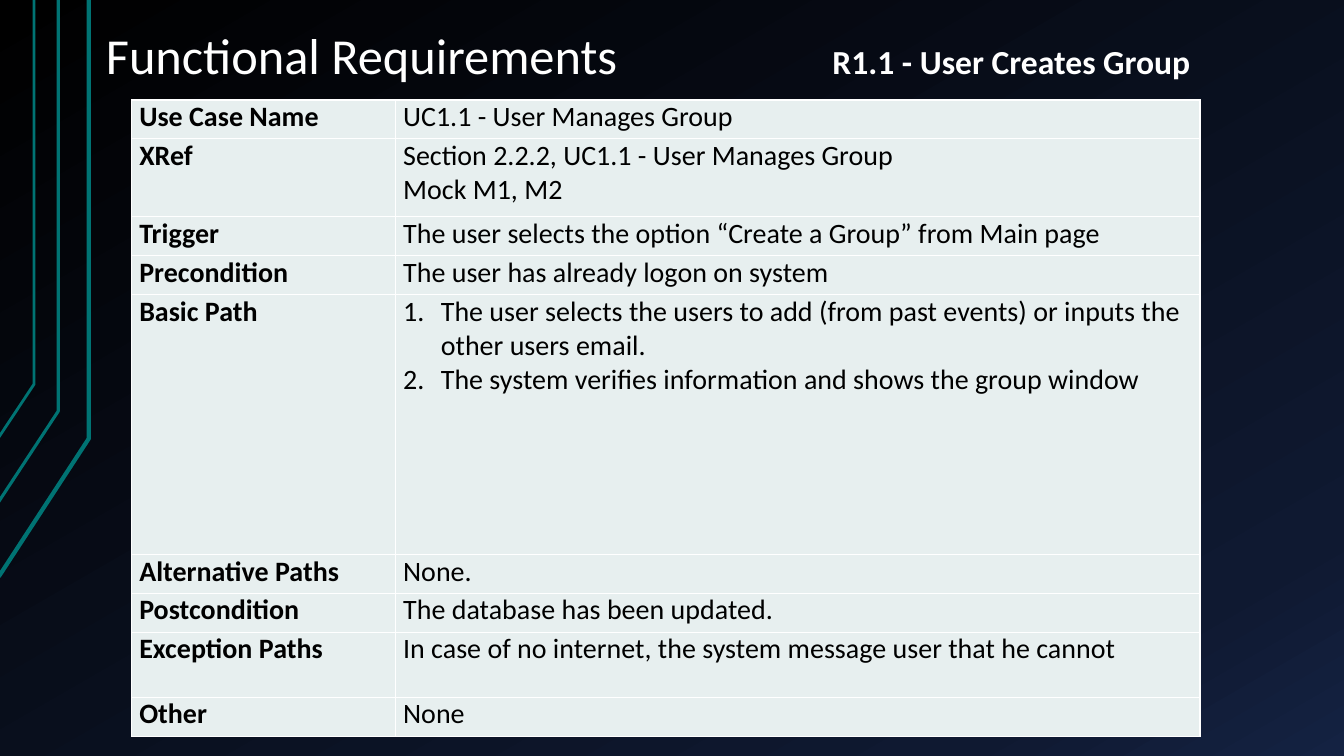
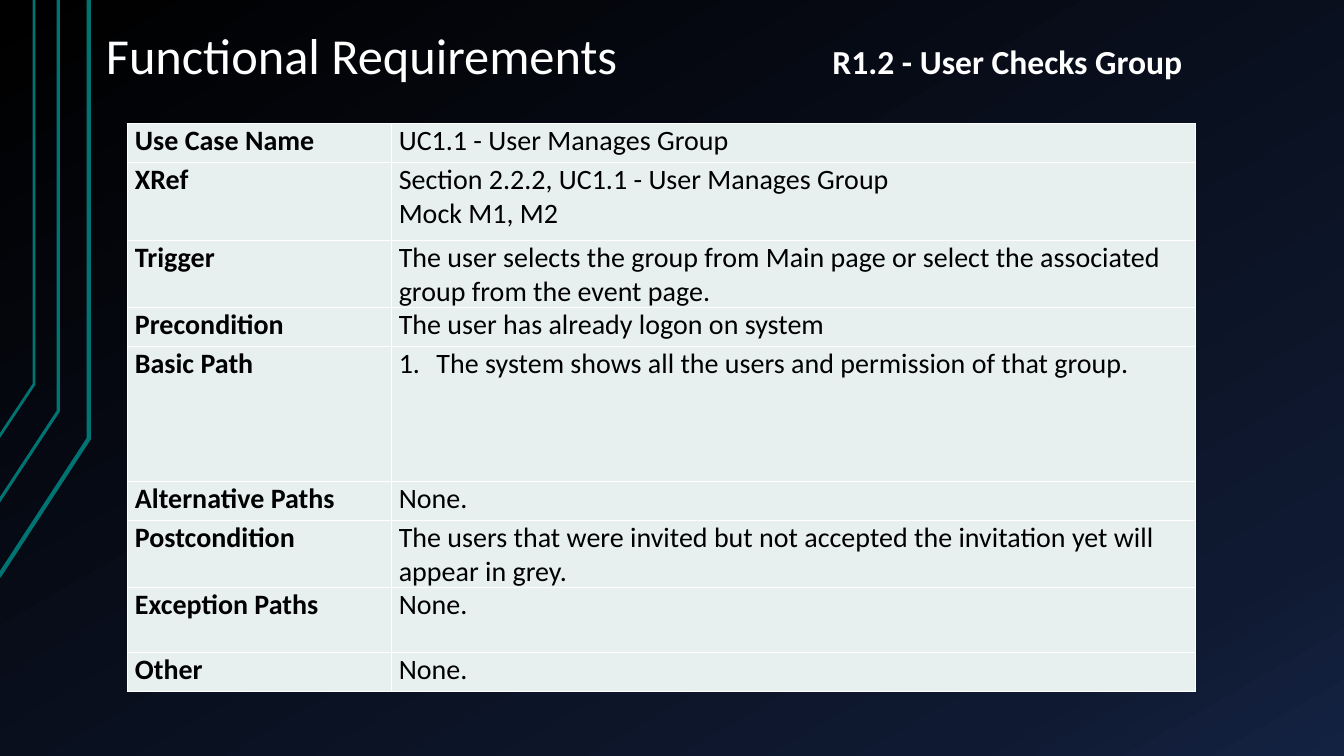
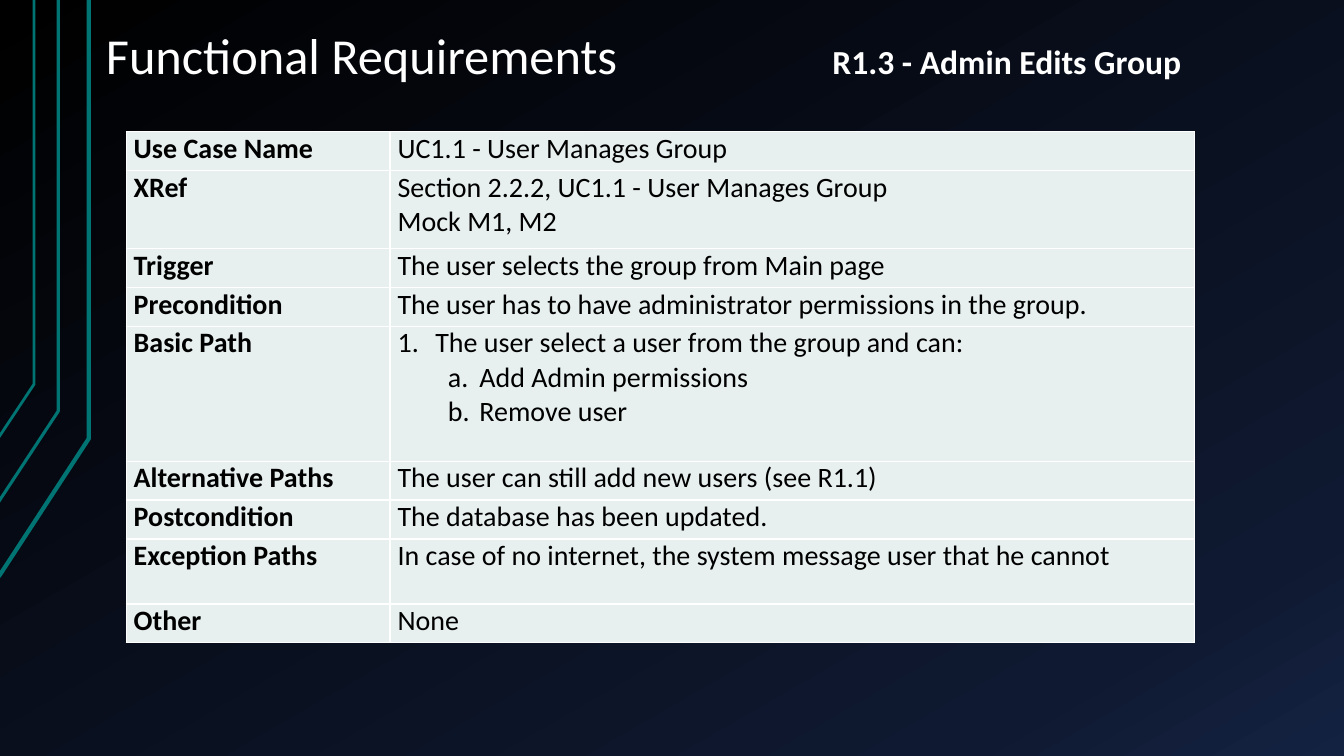
import copy
from dataclasses import dataclass

import pptx
import pptx.dml.color
import pptx.enum.text
import pptx.oxml
import pptx.oxml.ns
import pptx.util
from pptx.util import Cm, Pt

# Shared look
FONT = "Calibri"
COLORS = {
    "night": "000000",
    "navy": "0F1931",
    "blue": "142242",
    "teal": "007373",
    "white": "FFFFFF",
    "black": "000000",
    "cell": "E7EFEF",
}
BACKGROUND_STOPS = [(0, "night"), (0.85, "navy"), (1, "blue")]
ANCHOR = pptx.enum.text.MSO_ANCHOR
LABELS = ["Use Case Name", "XRef", "Trigger", "Precondition", "Basic Path",
          "Alternative Paths", "Postcondition", "Exception Paths", "Other"]
COLUMN_WIDTHS = [6.65, 20.27]
ROW = 0.98
XREF_ROW = 2 * ROW
EXCEPTION_ROW = 1.64


@dataclass
class Rail:
    points: list[tuple[float, float]]
    width: float


@dataclass
class Numbering:
    scheme: str
    level: int
    margin: float
    hanging: float


@dataclass
class Line:
    text: str
    numbering: Numbering | None = None


@dataclass
class Requirement:
    name: str
    name_width: float
    left: float
    top: float
    basic_path_height: float
    trigger: str
    precondition: str
    basic_path: list[Line]
    alternative: str
    postcondition: str
    exception: str
    other: str

    def values(self) -> list[list[Line]]:
        use_case = "UC1.1 - User Manages Group"
        xref = [Line(f"Section 2.2.2, {use_case}"), Line("Mock M1, M2")]
        after = [self.alternative, self.postcondition, self.exception, self.other]
        return [[Line(use_case)], xref, [Line(self.trigger)], [Line(self.precondition)],
                self.basic_path, *[[Line(text)] for text in after]]

    def row_heights(self) -> list[float]:
        return [ROW, XREF_ROW, ROW, ROW, self.basic_path_height,
                ROW, ROW, EXCEPTION_ROW, ROW]


RAILS = [
    Rail([(-0.03, 14.53), (2.24, 11.05), (2.24, 0)], 3),
    Rail([(-0.05, 12.67), (1.47, 10.36), (1.47, 0)], 2.25),
    Rail([(-0.03, 11.02), (0.86, 9.68), (0.86, 0)], 2),
]
STEP = Numbering("arabicPeriod", 0, 0.95, 0.95)
SUBSTEP = Numbering("alphaLcPeriod", 1, 2.06, 0.79)
NO_INTERNET = "In case of no internet, the system message user that he cannot"
LOGGED_ON = "The user has already logon on system"
UPDATED = "The database has been updated."

REQUIREMENTS = [
    Requirement(
        "R1.1 - User Creates Group", 9.63, 3.32, 2.52, 6.55,
        "The user selects the option “Create a Group” from Main page", LOGGED_ON,
        [Line("The user selects the users to add (from past events) or inputs the "
              "other users email.", STEP),
         Line("The system verifies information and shows the group window", STEP)],
        "None.", UPDATED, NO_INTERNET, "None"),
    Requirement(
        "R1.2 - User Checks Group", 9.4, 3.21, 3.12, 3.4,
        "The user selects the group from Main page or select the associated group "
        "from the event page.", LOGGED_ON,
        [Line("The system shows all the users and permission of that group.", STEP)],
        "None.",
        "The users that were invited but not accepted the invitation yet will "
        "appear in grey.", "None.", "None."),
    Requirement(
        "R1.3 - Admin Edits Group", 9.37, 3.18, 3.32, 3.4,
        "The user selects the group from Main page",
        "The user has to have administrator permissions in the group.",
        [Line("The user select a user from the group and can:", STEP),
         Line("Add Admin permissions", SUBSTEP),
         Line("Remove user", SUBSTEP)],
        "The user can still add new users (see R1.1)", UPDATED, NO_INTERNET, "None"),
]


def rgb(name: str) -> pptx.dml.color.RGBColor:
    return pptx.dml.color.RGBColor.from_string(COLORS[name])


def xml(tag: str, attributes: str, inner: str = ""):
    ns = pptx.oxml.ns.nsdecls("a")
    return pptx.oxml.parse_xml(f"<a:{tag} {ns} {attributes}>{inner}</a:{tag}>")


def add_run(p, text: str, size: float, color: str, bold: bool = False) -> None:
    r = p.add_run()
    r.text = text
    r.font.name = FONT
    r.font.size = Pt(size)
    r.font.bold = bold
    r.font.color.rgb = rgb(color)


# Background, set once on the master
def set_background(master) -> None:
    fill = master.background.fill
    fill.gradient()
    fill.gradient_angle = 300
    stops = master.element.find(".//" + pptx.oxml.ns.qn("a:gsLst"))
    stops.append(copy.deepcopy(stops[-1]))
    for stop, (position, color) in zip(fill.gradient_stops, BACKGROUND_STOPS):
        stop.position = position
        stop.color.rgb = rgb(color)


# Teal rails on the left edge
def add_rail(s, rail: Rail) -> None:
    points = [(Cm(x), Cm(y)) for x, y in rail.points]
    builder = s.shapes.build_freeform(*points[0])
    builder.add_line_segments(points[1:], close=False)
    sp = builder.convert_to_shape()
    sp.shadow.inherit = False
    sp.fill.background()
    sp.line.color.rgb = rgb("teal")
    sp.line.width = Pt(rail.width)


# Slide title and requirement name
def add_title(s) -> None:
    tf = s.shapes.add_textbox(Cm(2.34), Cm(-1.07), Cm(28.78), Cm(3.4)).text_frame
    tf.word_wrap = True
    tf.vertical_anchor = ANCHOR.BOTTOM
    tf.margin_left = tf.margin_right = Cm(0.33)
    tf.margin_top = tf.margin_bottom = Cm(0.18)
    p = tf.paragraphs[0]
    p.line_spacing = 0.9
    add_run(p, "Functional Requirements", 36, "white")


def add_name(s, req: Requirement) -> None:
    tf = s.shapes.add_textbox(Cm(20.73), Cm(0.89), Cm(req.name_width), Cm(1.28)).text_frame
    tf.word_wrap = False
    tf.auto_size = pptx.enum.text.MSO_AUTO_SIZE.SHAPE_TO_FIT_TEXT
    tf.vertical_anchor = ANCHOR.MIDDLE
    add_run(tf.paragraphs[0], req.name, 24, "white", bold=True)


# Use case table
def set_numbering(p, numbering: Numbering) -> None:
    p.level = numbering.level
    props = p._p.get_or_add_pPr()
    props.set("marL", str(Cm(numbering.margin)))
    props.set("indent", str(-Cm(numbering.hanging)))
    props.append(xml("buFont", 'typeface="+mj-lt"'))
    props.append(xml("buAutoNum", f'type="{numbering.scheme}"'))


def fill_cell(cell, lines: list[Line], bold: bool) -> None:
    cell.fill.solid()
    cell.fill.fore_color.rgb = rgb("cell")
    cell.margin_left = cell.margin_right = Cm(0.19)
    cell.margin_top = cell.margin_bottom = 0
    props = cell._tc.get_or_add_tcPr()
    border = f'<a:solidFill><a:srgbClr val="{COLORS["white"]}"/></a:solidFill>'
    for i, side in enumerate("LRTB"):
        props.insert(i, xml(f"ln{side}", f'w="{Pt(1)}"', border))
    tf = cell.text_frame
    for i, line in enumerate(lines):
        p = tf.add_paragraph() if i else tf.paragraphs[0]
        if line.numbering:
            set_numbering(p, line.numbering)
        add_run(p, line.text, 20, "black", bold)


def add_use_case(s, req: Requirement) -> None:
    heights = req.row_heights()
    table = s.shapes.add_table(
        len(LABELS), len(COLUMN_WIDTHS), Cm(req.left), Cm(req.top),
        Cm(sum(COLUMN_WIDTHS)), Cm(sum(heights))).table
    table.first_row = table.horz_banding = False
    for column, width in zip(table.columns, COLUMN_WIDTHS):
        column.width = Cm(width)
    for row, height, label, lines in zip(table.rows, heights, LABELS, req.values()):
        row.height = Cm(height)
        fill_cell(row.cells[0], [Line(label)], bold=True)
        fill_cell(row.cells[1], lines, bold=False)


def main() -> None:
    prs = pptx.Presentation()
    prs.slide_width, prs.slide_height = Cm(33.87), Cm(19.05)
    set_background(prs.slide_master)
    for req in REQUIREMENTS:
        s = prs.slides.add_slide(prs.slide_layouts[6])
        for rail in RAILS:
            add_rail(s, rail)
        add_title(s)
        add_use_case(s, req)
        add_name(s, req)
    prs.save("out.pptx")


if __name__ == "__main__":
    main()
